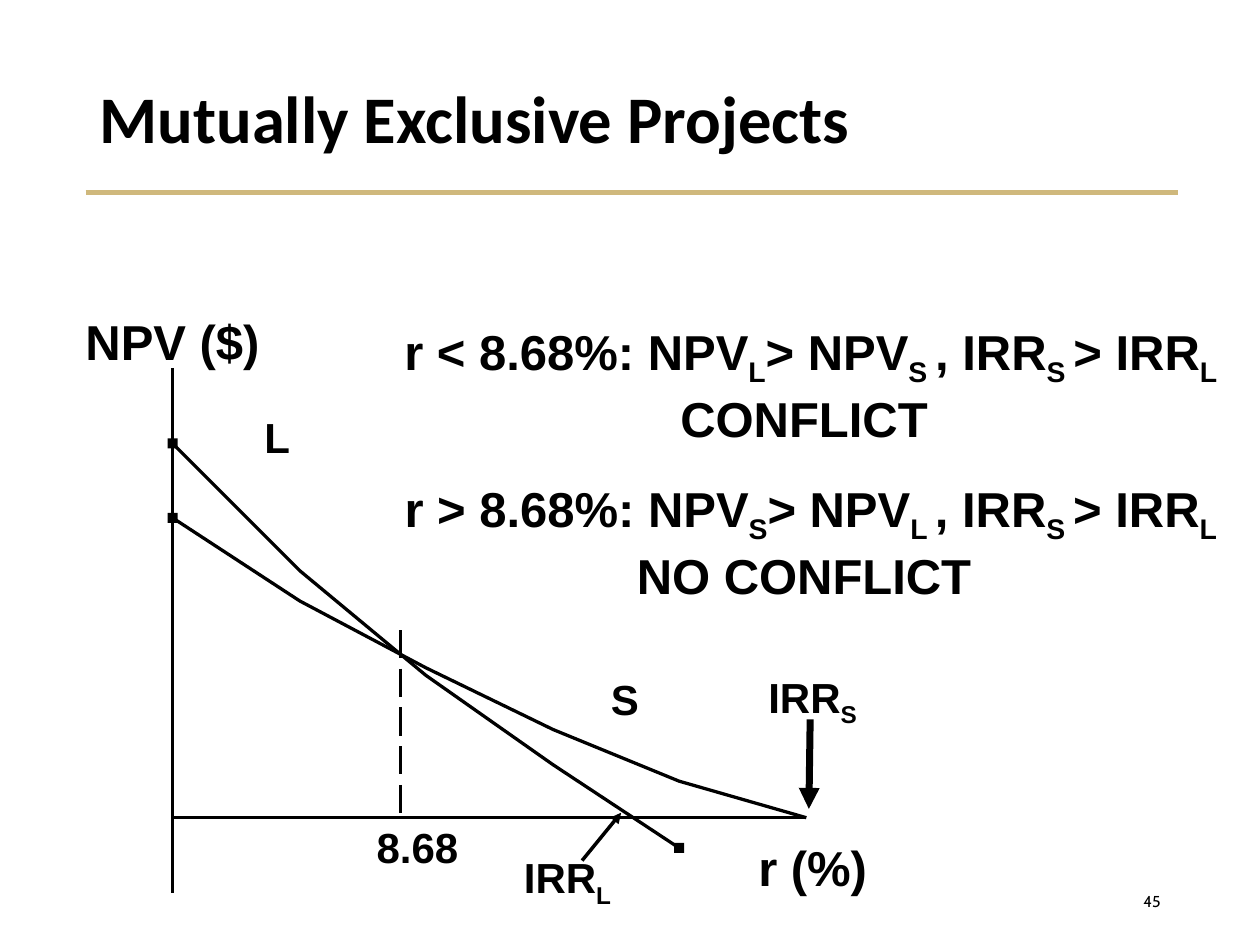
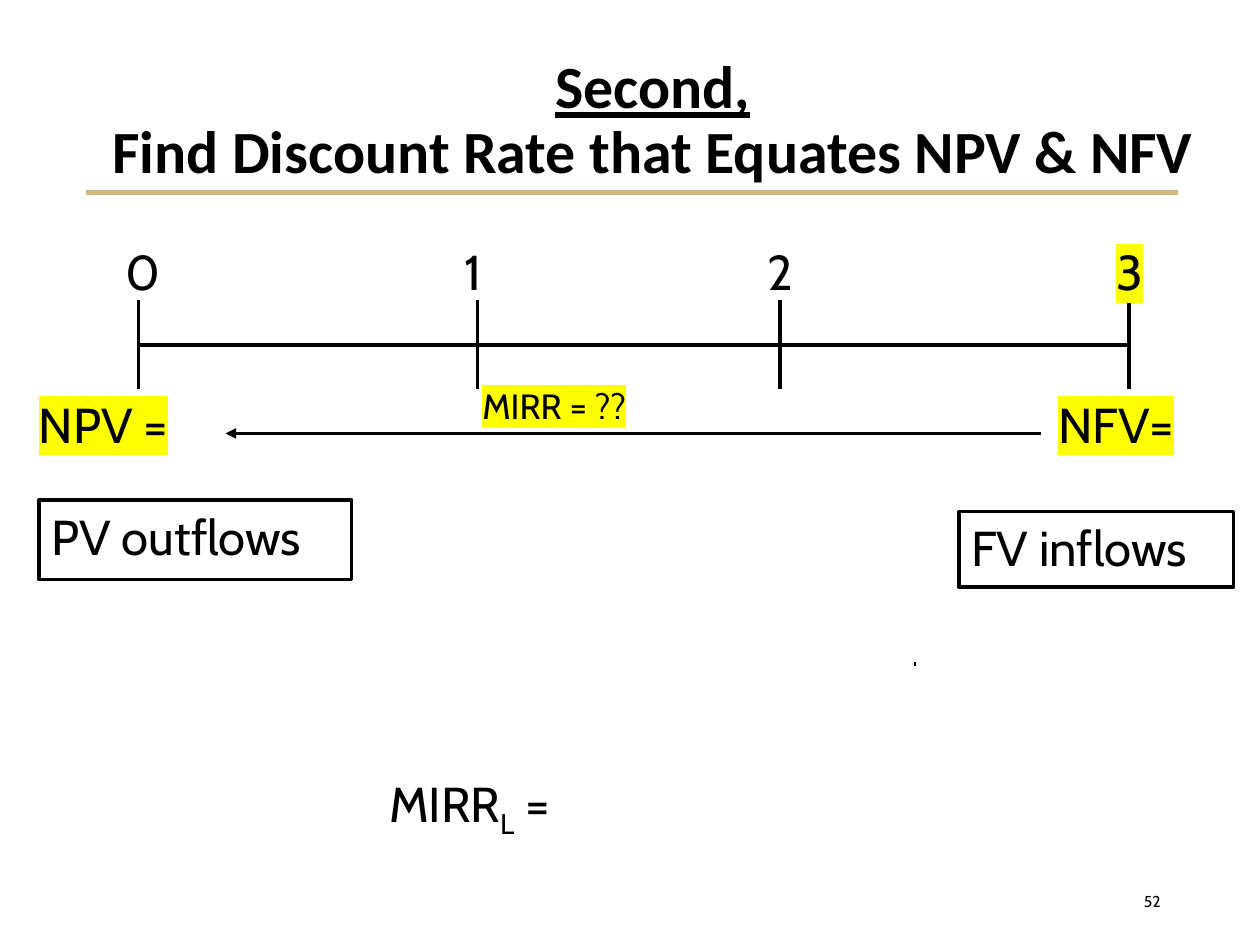
import lxml.etree
import pptx
import pptx.dml.color
import pptx.enum.dml
import pptx.enum.shapes
import pptx.enum.text
import pptx.oxml.ns
import pptx.util

Inches, Pt = pptx.util.Inches, pptx.util.Pt
Align = pptx.enum.text.PP_ALIGN
Anchor = pptx.enum.text.MSO_ANCHOR
Kind = pptx.enum.shapes.MSO_SHAPE
qn = pptx.oxml.ns.qn

BLACK, GOLD, YELLOW = "000000", "CFB87C", "FFFF00"
HEAD, BODY, GRAPH = "Calibri", "Cabin", "Arial"


def color(code):
    return pptx.dml.color.RGBColor.from_string(code)


def write(frame, text, font=BODY, size=28, bold=False, align=Align.LEFT,
          anchor=Anchor.TOP, mark=None, under=0, space=None):
    """Fill a frame: underscores enclose subscripts, under counts underlined lines."""
    frame.word_wrap = True
    frame.auto_size = pptx.enum.text.MSO_AUTO_SIZE.NONE
    frame.vertical_anchor = anchor
    for row, line in enumerate(text.split("\n")):
        para = frame.add_paragraph() if row else frame.paragraphs[0]
        para.alignment = align
        if space:
            para.line_spacing = space
        for part, words in enumerate(line.split("_")):
            if not words:
                continue
            run = para.add_run()
            run.text = words
            run.font.name, run.font.size, run.font.bold = font, Pt(size), bold
            run.font.underline = row < under
            run.font.color.rgb = color(BLACK)
            props = run._r.get_or_add_rPr()
            if part % 2:
                props.set("baseline", "-25000")
            if mark:
                light = lxml.etree.Element(qn("a:highlight"))
                lxml.etree.SubElement(light, qn("a:srgbClr"), val=mark)
                props.find(qn("a:solidFill")).addnext(light)


def label(slide, text, left, top, width=2, height=0.57, **style):
    box = slide.shapes.add_textbox(*map(Inches, (left, top, width, height)))
    write(box.text_frame, text, **style)


def line(slide, x1, y1, x2, y2, weight=2, tint=BLACK, dash=None, arrow=False):
    link = slide.shapes.add_connector(
        pptx.enum.shapes.MSO_CONNECTOR.STRAIGHT, *map(Inches, (x1, y1, x2, y2)))
    link.line.color.rgb = color(tint)
    link.line.width = Pt(weight)
    if dash:
        link.line.dash_style = dash
    if arrow:
        lxml.etree.SubElement(link.line._get_or_add_ln(), qn("a:tailEnd"), type="triangle")
    lxml.etree.SubElement(link._element.spPr, qn("a:effectLst"))


def curve(slide, points):
    spots = [(Inches(x), Inches(y)) for x, y in points]
    builder = slide.shapes.build_freeform(*spots[0])
    builder.add_line_segments(spots[1:], close=False)
    shape = builder.convert_to_shape()
    shape.shadow.inherit = False
    shape.fill.background()
    shape.line.color.rgb = color(BLACK)
    shape.line.width = Pt(1.88)


def marker(slide, x, y, side=0.08):
    dot = slide.shapes.add_shape(Kind.RECTANGLE, Inches(x - side / 2),
                                 Inches(y - side / 2), Inches(side), Inches(side))
    dot.shadow.inherit = False
    dot.fill.solid()
    dot.fill.fore_color.rgb = color(BLACK)
    dot.line.fill.background()


def frame(slide, text, left, top, width, height):
    """Outlined box with text."""
    box = slide.shapes.add_shape(Kind.RECTANGLE, *map(Inches, (left, top, width, height)))
    box.shadow.inherit = False
    box.fill.background()
    box.line.color.rgb = color(BLACK)
    box.line.width = Pt(2)
    write(box.text_frame, text)


def start(deck, title, number, width, **style):
    """Add a slide with its title, gold rule and number."""
    slide = deck.slides.add_slide(deck.slide_layouts[5])
    line(slide, 0.68, 1.53, 9.35, 1.53, weight=3, tint=GOLD)
    head = slide.shapes.title
    head.left, head.top, head.width, head.height = map(Inches, (0.69, 0.4, width, 1.13))
    write(head.text_frame, title, font=HEAD, bold=True, anchor=Anchor.MIDDLE,
          space=0.9, **style)
    label(slide, number, 7.06, 6.95, 2.25, 0.4, size=9, align=Align.RIGHT,
          anchor=Anchor.MIDDLE)
    return slide


def rivals(deck):
    slide = start(deck, "Mutually Exclusive Projects", "45", 8.62, size=38)
    bold = {"font": GRAPH, "bold": True}
    for text, left, top, size in (
            ("NPV ($)", 0.58, 2.42, 28), ("r (%)", 5.92, 6.6, 28),
            ("8.68", 2.89, 6.47, 24), ("IRR_S", 6, 5.28, 24),
            ("IRR_L", 4.06, 6.71, 24), ("L", 2, 3.22, 24), ("S", 4.75, 5.3, 24)):
        label(slide, text, left, top, size=size, **bold)
    for text, top in (
            ("r < 8.68%: NPV_L_> NPV_S _, IRR_S _> IRR_L\nCONFLICT ", 2.5),
            ("r > 8.68%: NPV_S_> NPV_L _, IRR_S _> IRR_L\nNO CONFLICT ", 3.75)):
        label(slide, text, 2.91, top, 7.05, 1.04, align=Align.CENTER, **bold)

    left, base = 1.37, 6.49
    line(slide, left, 2.92, left, 7.09, weight=1.88)
    line(slide, left, base, 6.4, base, weight=1.88)
    line(slide, 3.18, 5, 3.18, 6.47, dash=pptx.enum.dml.MSO_LINE.LONG_DASH)
    line(slide, 6.43, 5.71, 6.42, 6.42, weight=4, arrow=True)
    line(slide, 4.62, 6.83, 4.93, 6.45, arrow=True)

    steps = [left, 2.38, 3.38, 4.39, 5.39, 6.4]
    long = list(zip(steps, (3.52, 4.53, 5.36, 6.07, 6.73)))
    short = list(zip(steps, (4.11, 4.77, 5.3, 5.79, 6.2, base)))
    curve(slide, long)
    curve(slide, short)
    for spot in (long[0], long[-1], short[0]):
        marker(slide, *spot)


def rate(deck):
    slide = start(deck, "Second,\nFind Discount Rate that Equates NPV & NFV", "52",
                  8.98, size=34.2, align=Align.CENTER, under=1)
    ticks = (1.1, 3.79, 6.19, 8.96)
    line(slide, ticks[0], 2.74, ticks[-1], 2.74)
    for year, x in enumerate(ticks):
        line(slide, x, 2.38, x, 3.09)
        label(slide, str(year), x - 0.2, 1.87, 0.6,
              mark=YELLOW if x == ticks[-1] else None)
    label(slide, "MIRR = ??", 3.73, 3, 2.64, 0.43, size=20, mark=YELLOW)
    label(slide, "NPV =", 0.21, 3.08, 1.6, mark=YELLOW)
    label(slide, "NFV=", 8.3, 3.08, 1.47, mark=YELLOW)
    line(slide, 8.26, 3.44, 1.79, 3.44, arrow=True)
    frame(slide, "PV outflows", 0.31, 3.97, 2.48, 0.63)
    frame(slide, "FV inflows", 7.61, 4.06, 2.18, 0.6)
    line(slide, 7.25, 5.27, 7.27, 5.27)
    label(slide, "MIRR_L_ =", 2.99, 6.09, 3.24)


def main():
    deck = pptx.Presentation()
    deck.slide_width, deck.slide_height = Inches(10), Inches(7.5)
    rivals(deck)
    rate(deck)
    deck.save("out.pptx")


if __name__ == "__main__":
    main()
